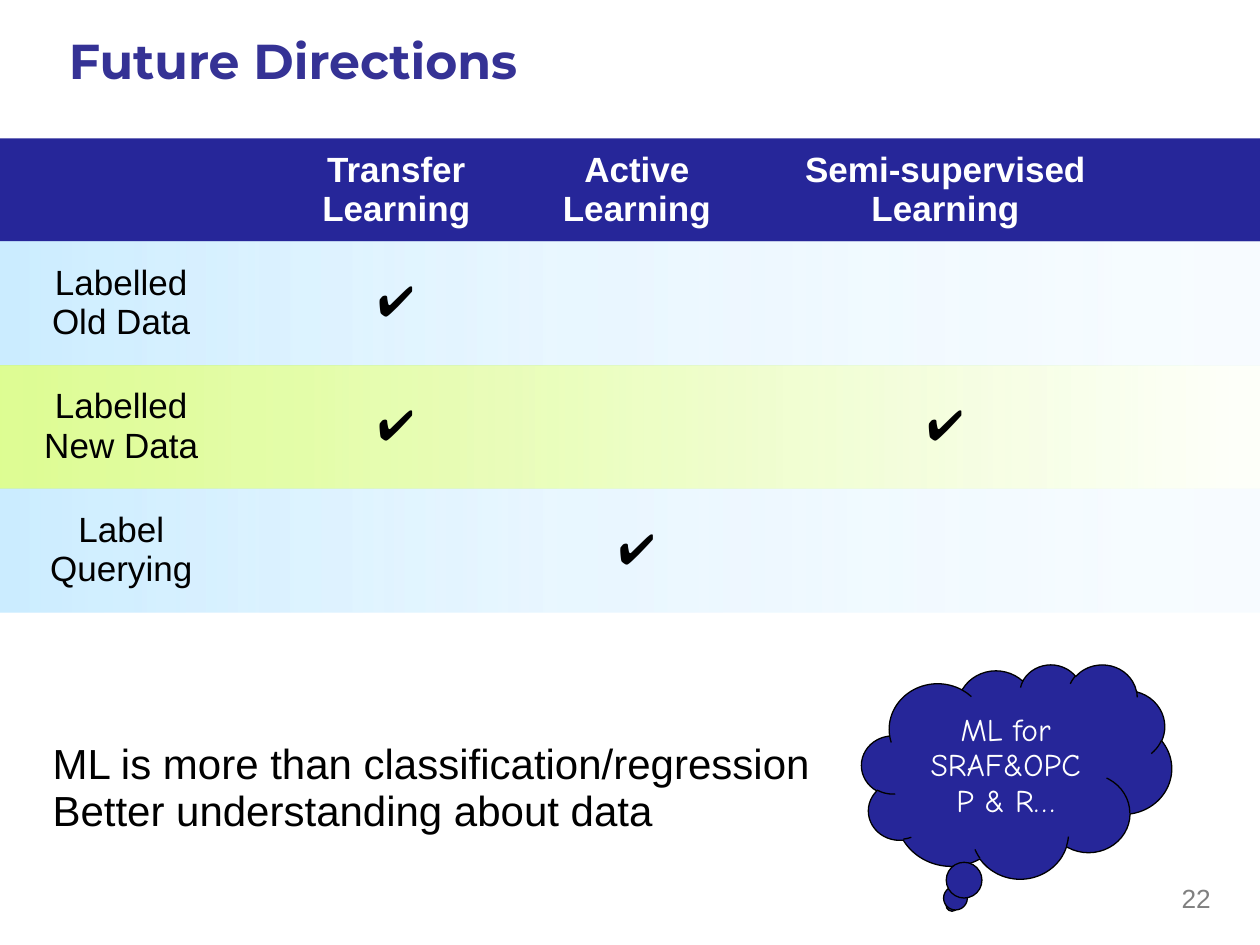
from pptx import Presentation
from pptx import util as u
from pptx.dml.color import RGBColor
from pptx.enum import shapes, text
from pptx.oxml import parse_xml
from pptx.oxml.ns import nsdecls

Cm = u.Cm
NAVY, BLACK, WHITE = "262699", "000000", "FFFFFF"
BLUE = [(0, "B5E5FF", 70), (42, "D1EEFF", 50), (98, "E8F6FF", 30)]
GREEN = [(0, "D5FC79", 80), (42, "D5FC79", 50), (98, "D5FC79", 4)]
CHECK = "✔︎"

COLUMNS = [
    (["Transfer", "Learning"], 7.99, 3.53),
    (["Active", "Learning"], 12.84, 3.53),
    (["Semi-supervised", "Learning"], 19.06, 6.22),
]
ROWS = [
    ("Labelled Old Data", BLUE, [0]),
    ("Labelled New Data", GREEN, [0, 2]),
    ("Label Querying", BLUE, [1]),
]
CLOUD = ["ML for SRAF&OPC", "P & R…"]
TAKEAWAYS = ["ML is more than classification/regression",
             "Better understanding about data"]

WIDTH = 25.4
HEAD_TOP, HEAD_H, ROW_H = 2.79, 2.08, 2.49
LABEL_H = 1.85


def rgb(hex_color):
    return RGBColor.from_string(hex_color)


def write(s, lines, size, color, font="Arial", bold=False, align="CENTER",
          anchor="MIDDLE", wrap=True, spacing=0.93):
    tf = s.text_frame
    tf.word_wrap = wrap
    tf.auto_size = text.MSO_AUTO_SIZE.NONE
    tf.vertical_anchor = getattr(text.MSO_ANCHOR, anchor)
    tf.text = "\n".join(lines)
    for p in tf.paragraphs:
        p.alignment = getattr(text.PP_ALIGN, align)
        p.line_spacing = spacing
        p.font.name, p.font.size, p.font.bold = font, u.Pt(size), bold
        p.font.color.rgb = rgb(color)


def add_text(x, y, w, h, lines, size, color, **style):
    s = sp.add_textbox(Cm(x), Cm(y), Cm(w), Cm(h))
    write(s, lines, size, color, **style)
    return s


def add_shape(kind, x, y, w, h, color=NAVY):
    s = sp.add_shape(kind, Cm(x), Cm(y), Cm(w), Cm(h))
    s.shadow.inherit = False
    s.fill.solid()
    s.fill.fore_color.rgb = rgb(color)
    s.line.fill.background()
    return s


def set_gradient(s, stops):
    gs = "".join(
        f'<a:gs pos="{pos * 1000}"><a:srgbClr val="{color}">'
        f'<a:alpha val="{alpha * 1000}"/></a:srgbClr></a:gs>'
        for pos, color, alpha in stops)
    grad = parse_xml(f'<a:gradFill {nsdecls("a")} rotWithShape="1">'
                     f'<a:gsLst>{gs}</a:gsLst><a:lin ang="0" scaled="0"/></a:gradFill>')
    props = s.element.spPr
    props.replace(props.find("{*}solidFill"), grad)


def set_insets(s):
    tf = s.text_frame
    tf.margin_left = tf.margin_right = Cm(0.2)
    tf.margin_top = tf.margin_bottom = Cm(0.1)


prs = Presentation()
prs.slide_width, prs.slide_height = Cm(WIDTH), Cm(19.05)
slide = prs.slides.add_slide(prs.slide_layouts[5])
sp = slide.shapes

title = sp.title
title.left, title.top, title.width, title.height = Cm(1.19), Cm(0.28), Cm(22.96), Cm(1.98)
write(title, ["Future Directions"], 28, "353295", font="Montserrat", bold=True, align="LEFT")
set_insets(title)

add_shape(shapes.MSO_SHAPE.RECTANGLE, 0, HEAD_TOP, WIDTH, HEAD_H)
for heading, center, w in COLUMNS:
    add_text(center - w / 2, HEAD_TOP + (HEAD_H - LABEL_H) / 2, w, LABEL_H,
             heading, 20, WHITE, bold=True, wrap=False)

for i, (label, stops, checked) in enumerate(ROWS):
    top = HEAD_TOP + HEAD_H + i * ROW_H
    band = add_shape(shapes.MSO_SHAPE.RECTANGLE, 0, top, WIDTH, ROW_H)
    set_gradient(band, stops)
    add_text(0.25, top + (ROW_H - LABEL_H) / 2, 4.39, LABEL_H, [label], 20, BLACK)
    for col in checked:
        add_text(COLUMNS[col][1] - 0.69, top + 0.64, 1.37, 1.22,
                 [CHECK], 24, BLACK, anchor="TOP", wrap=False)

cloud = add_shape(shapes.MSO_SHAPE.CLOUD_CALLOUT, 17.37, 13.39, 6.25, 4.32)
cloud.line.color.rgb = rgb(BLACK)
cloud.line.width = u.Pt(0.75)
write(cloud, CLOUD, 18, WHITE, font="Comic Neue")

add_text(0.81, 14.83, 15.93, 2.16, TAKEAWAYS, 24, BLACK,
         align="LEFT", anchor="TOP", wrap=False)
number = add_text(23.62, 17.68, 2.18, 0.84, ["22"], 15, "808080",
                  align="LEFT", anchor="TOP", spacing=1.0)
set_insets(number)

prs.save("out.pptx")
